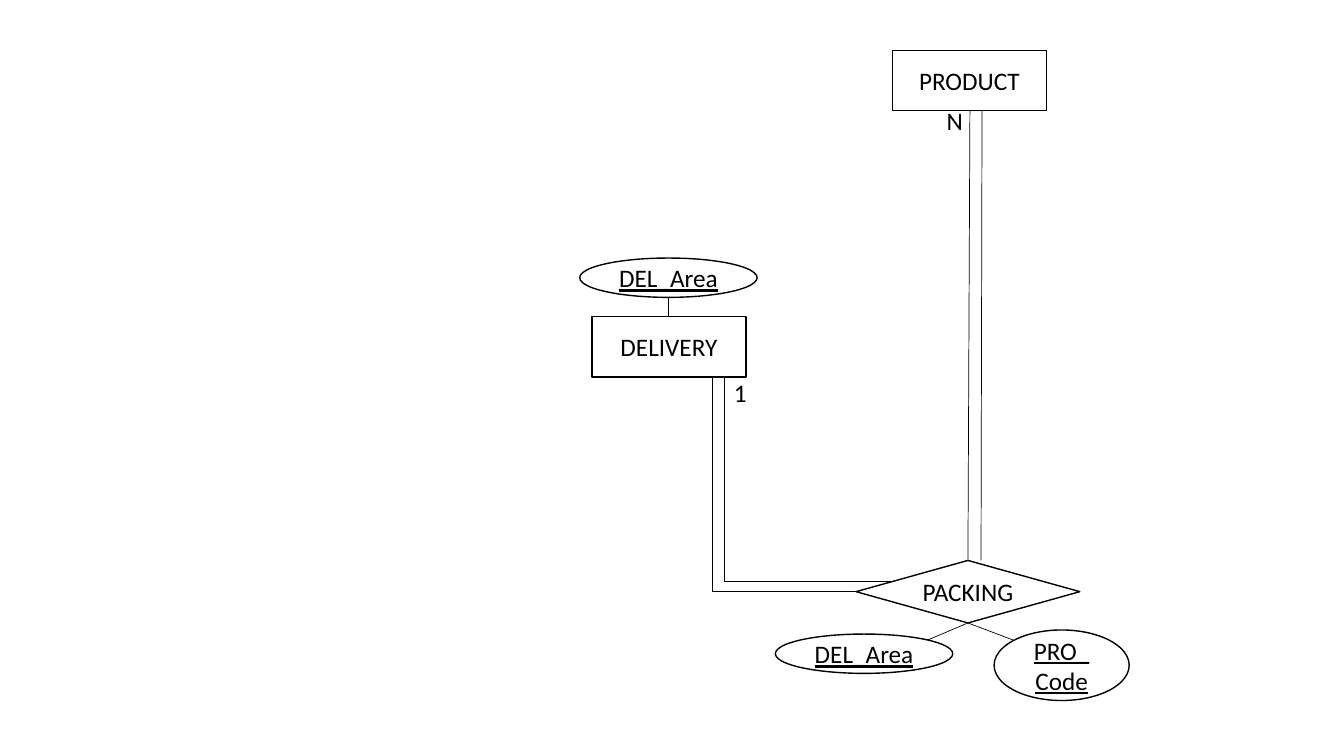
"""Entity-relationship slide: PRODUCT and DELIVERY joined by PACKING."""
from lxml.etree import SubElement
from pptx import Presentation
from pptx.dml.color import RGBColor
from pptx.enum.shapes import MSO_CONNECTOR, MSO_SHAPE
from pptx.enum.text import MSO_ANCHOR, MSO_AUTO_SIZE, PP_ALIGN
from pptx.oxml.ns import qn
from pptx.util import Inches, Pt

THEME = {"ink": RGBColor(0, 0, 0), "font": "Calibri", "text": Pt(18),
         "outline": Pt(1), "link": Pt(0.5)}
CELL = Inches(0.1)

prs = Presentation()
prs.slide_width, prs.slide_height = Inches(13.33), Inches(7.5)
s = prs.slides.add_slide(prs.slide_layouts[6])


def write(sp, text, align, underline=None):
    """Put themed text into a shape."""
    tf = sp.text_frame
    tf.word_wrap = True
    tf.text = text
    for p in tf.paragraphs:
        p.alignment = align
        for r in p.runs:
            r.font.name, r.font.size = THEME["font"], THEME["text"]
            r.font.underline = underline
            r.font.color.rgb = THEME["ink"]


def link(kind, *ends):
    """Draw a thin connector between two grid points."""
    c = s.shapes.add_connector(kind, *(round(v * CELL) for v in ends))
    c.line.color.rgb, c.line.width = THEME["ink"], THEME["link"]
    SubElement(c._element.spPr, qn("a:effectLst"))
    return c


ENTITY, ATTRIBUTE = (15.3, 6), (17.6, 3.9)
RECT, OVAL, DIAMOND = MSO_SHAPE.RECTANGLE, MSO_SHAPE.OVAL, MSO_SHAPE.FLOWCHART_DECISION
nodes = [
    (RECT, "DELIVERY", (58.7, 31.4), ENTITY),
    (OVAL, "DEL_Area", (57.5, 25.6), ATTRIBUTE),
    (RECT, "PRODUCT", (88.5, 5), ENTITY),
    (DIAMOND, "PACKING", (84.9, 55.6), (22.2, 6.2)),
    (OVAL, "DEL_Area", (76.9, 62.9), ATTRIBUTE),
    (OVAL, "PRO_\nCode", (98.6, 62.5), (13.4, 7)),
]
for shape, name, place, size in nodes:
    sp = s.shapes.add_shape(shape, *(round(v * CELL) for v in place + size))
    sp.shadow.inherit = False
    sp.fill.background()
    sp.line.color.rgb, sp.line.width = THEME["ink"], THEME["outline"]
    write(sp, name, PP_ALIGN.CENTER, shape == OVAL or None)
    tf = sp.text_frame
    tf.vertical_anchor = MSO_ANCHOR.MIDDLE
    if shape == RECT:
        tf.margin_left = tf.margin_right = Inches(0.07)
        tf.margin_top = tf.margin_bottom = Inches(0.04)

for mark, x, y in [("1", 71.8, 36.9), ("N", 92.9, 10)]:
    sp = s.shapes.add_textbox(*(round(v * CELL) for v in (x, y, 6.2, 4)))
    write(sp, mark, PP_ALIGN.LEFT)
    sp.text_frame.auto_size = MSO_AUTO_SIZE.SHAPE_TO_FIT_TEXT

for ends in [
    (66.3, 29.5, 66.3, 31.4),
    (96, 61.8, 92, 63.5),
    (96, 61.8, 100.5, 63.5),
    (71.8, 37.4, 71.8, 57.7),
    (71.8, 57.7, 88.5, 57.7),
    (96.2, 10.9, 96, 55.6),
    (97.4, 10.9, 97.3, 55.6),
]:
    link(MSO_CONNECTOR.STRAIGHT, *ends)

elbow = link(MSO_CONNECTOR.ELBOW, 84.9, 58.7, 62.3, 37.4)
geom = elbow._element.spPr.find(qn("a:prstGeom"))
guides = geom.find(qn("a:avLst"))
SubElement(guides, qn("a:gd"), name="adj1", fmla="val 63100")

prs.save("out.pptx")
